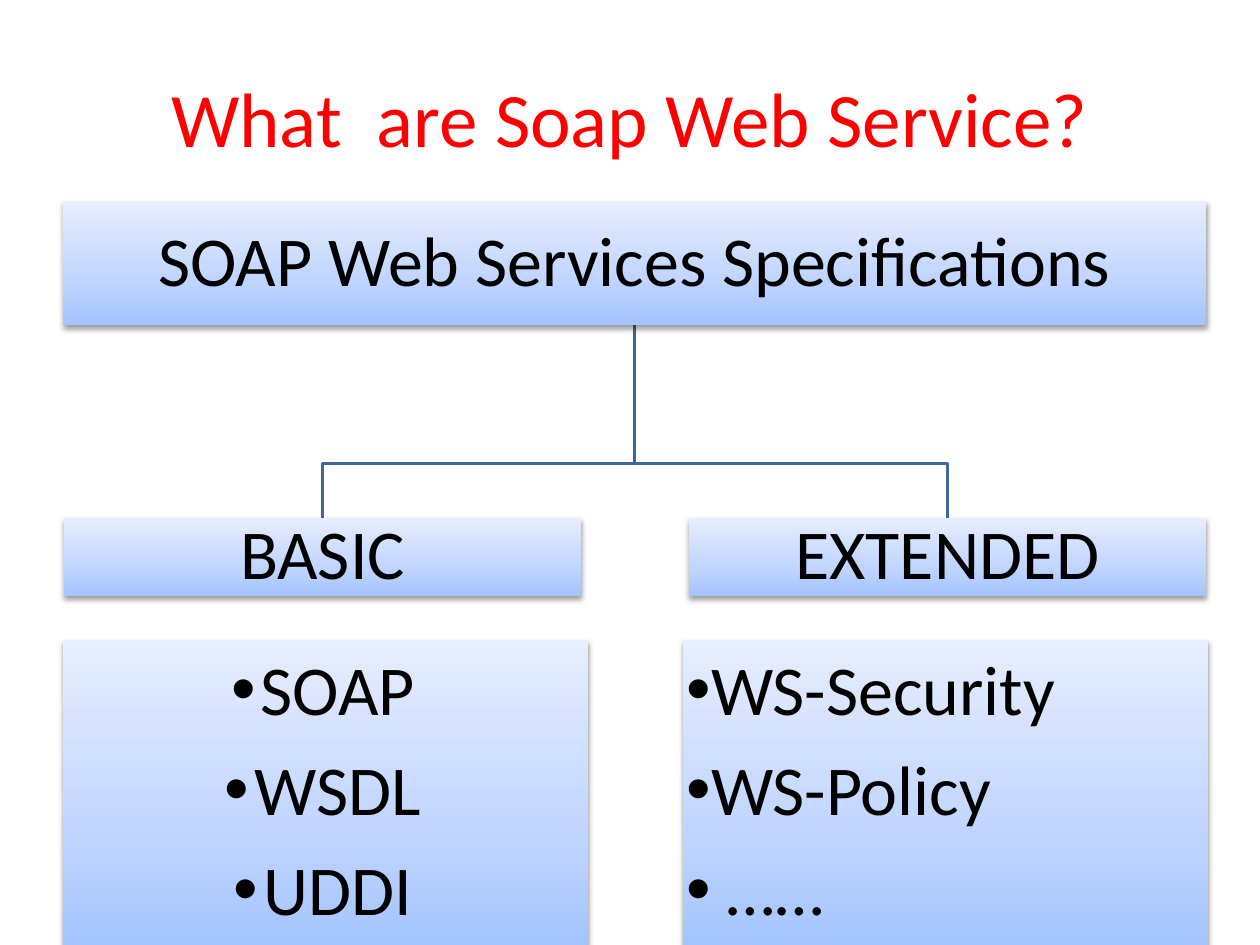
"""Build a slide that splits SOAP web service specifications into two branches."""
from dataclasses import dataclass

from lxml import etree
from pptx import Presentation
from pptx.dml.color import RGBColor
from pptx.enum.shapes import MSO_SHAPE
from pptx.enum.text import MSO_ANCHOR, PP_ALIGN
from pptx.oxml.ns import qn
from pptx.util import Inches, Pt

RECTANGLE = MSO_SHAPE.RECTANGLE
MIDDLE = MSO_ANCHOR.MIDDLE
LEFT, CENTER = PP_ALIGN.LEFT, PP_ALIGN.CENTER

TITLE = "What  are Soap Web Service?"
ROOT = "SOAP Web Services Specifications"
BRANCHES = [
    {"name": "BASIC", "items": ["SOAP", "WSDL", "UDDI"], "align": CENTER},
    {"name": "EXTENDED", "items": ["WS-Security", "WS-Policy", " ……"], "align": LEFT},
]


@dataclass(frozen=True)
class Theme:
    font: str = "Calibri"
    title_size: int = 44
    text_size: int = 40
    title: str = "FF0000"
    text: str = "000000"
    line: str = "3F6797"
    line_width: int = 2
    gradient: tuple = ((0, "A4C4FF"), (35, "BFD4FF"), (100, "E6EEFF"))
    inset: float = 0.03
    space_after: int = 14


THEME = Theme()
WIDTH, HEIGHT = 10, 7.5
MARGIN, TREE_WIDTH = 0.5, 9.07
ROOT_TOP, ROOT_HEIGHT = 1.6, 0.98
FORK_TOP = 3.68
NAME_TOP, NAME_WIDTH, NAME_HEIGHT = 4.11, 4.1, 0.62
LIST_TOP, LIST_WIDTH = 5.08, 4.17
COLUMN_STEP = 4.96
LIST_STEP = 4.92


def add_run(paragraph, text, size, color):
    run = paragraph.add_run()
    run.text = text
    run.font.name = THEME.font
    run.font.size = Pt(size)
    run.font.color.rgb = RGBColor.from_string(color)


def add_child(parent, tag, **attributes):
    return etree.SubElement(parent, qn(tag), attributes)


def style_panel(shape):
    shape.fill.gradient()
    shape.fill.gradient_angle = 90
    shape.line.fill.background()
    shape.shadow.inherit = False
    properties = shape.element.spPr
    stops = properties.find(qn("a:gradFill")).find(qn("a:gsLst"))
    for stop in list(stops):
        stops.remove(stop)
    for position, color in THEME.gradient:
        stop = add_child(stops, "a:gs", pos=str(position * 1000))
        add_child(stop, "a:srgbClr", val=color)
    shadow = add_child(properties.find(qn("a:effectLst")), "a:outerShdw",
                       blurRad="40000", dist="20000", dir="5400000", rotWithShape="0")
    add_child(add_child(shadow, "a:srgbClr", val="000000"), "a:alpha", val="38000")


def add_panel(slide, left, top, width, height, texts, align=CENTER, bullet=False):
    shape = slide.shapes.add_shape(RECTANGLE, *map(Inches, (left, top, width, height)))
    style_panel(shape)
    frame = shape.text_frame
    frame.word_wrap = True
    frame.vertical_anchor = MIDDLE
    frame.margin_left = frame.margin_right = Inches(THEME.inset)
    frame.margin_top = frame.margin_bottom = Inches(THEME.inset)
    for index, text in enumerate(texts):
        paragraph = frame.add_paragraph() if index else frame.paragraphs[0]
        paragraph.alignment = align
        paragraph.line_spacing = 0.9
        paragraph.space_after = Pt(THEME.space_after)
        if bullet:
            properties = paragraph._p.get_or_add_pPr()
            add_child(properties, "a:buFont", typeface="Arial")
            add_child(properties, "a:buChar", char="•")
        add_run(paragraph, text, THEME.text_size, THEME.text)


def add_branch_line(slide, start, end):
    corners = [start, (start[0], FORK_TOP), (end[0], FORK_TOP), end]
    points = [(Inches(x), Inches(y)) for x, y in corners]
    builder = slide.shapes.build_freeform(*points[0])
    builder.add_line_segments(points[1:], close=False)
    line = builder.convert_to_shape()
    line.fill.background()
    line.line.color.rgb = RGBColor.from_string(THEME.line)
    line.line.width = Pt(THEME.line_width)
    line.shadow.inherit = False


def add_title(slide):
    title = slide.shapes.title
    title.left, title.top, title.width, title.height = map(Inches, (MARGIN, 0.3, WIDTH - 2 * MARGIN, 1.25))
    title.text_frame.vertical_anchor = MIDDLE
    paragraph = title.text_frame.paragraphs[0]
    paragraph.alignment = CENTER
    add_run(paragraph, TITLE, THEME.title_size, THEME.title)


def main():
    presentation = Presentation()
    presentation.slide_width, presentation.slide_height = Inches(WIDTH), Inches(HEIGHT)
    slide = presentation.slides.add_slide(presentation.slide_layouts[5])
    add_title(slide)
    root_bottom = (MARGIN + TREE_WIDTH / 2, ROOT_TOP + ROOT_HEIGHT)
    name_lefts = [MARGIN + 0.01 + column * COLUMN_STEP for column in range(len(BRANCHES))]
    for left in name_lefts:
        add_branch_line(slide, root_bottom, (left + NAME_WIDTH / 2, NAME_TOP))
    add_panel(slide, MARGIN, ROOT_TOP, TREE_WIDTH, ROOT_HEIGHT, [ROOT])
    for column, (branch, left) in enumerate(zip(BRANCHES, name_lefts)):
        add_panel(slide, left, NAME_TOP, NAME_WIDTH, NAME_HEIGHT, [branch["name"]])
        add_panel(slide, MARGIN + column * LIST_STEP, LIST_TOP, LIST_WIDTH, HEIGHT - LIST_TOP,
                  branch["items"], branch["align"], bullet=True)
    presentation.save("out.pptx")


if __name__ == "__main__":
    main()
